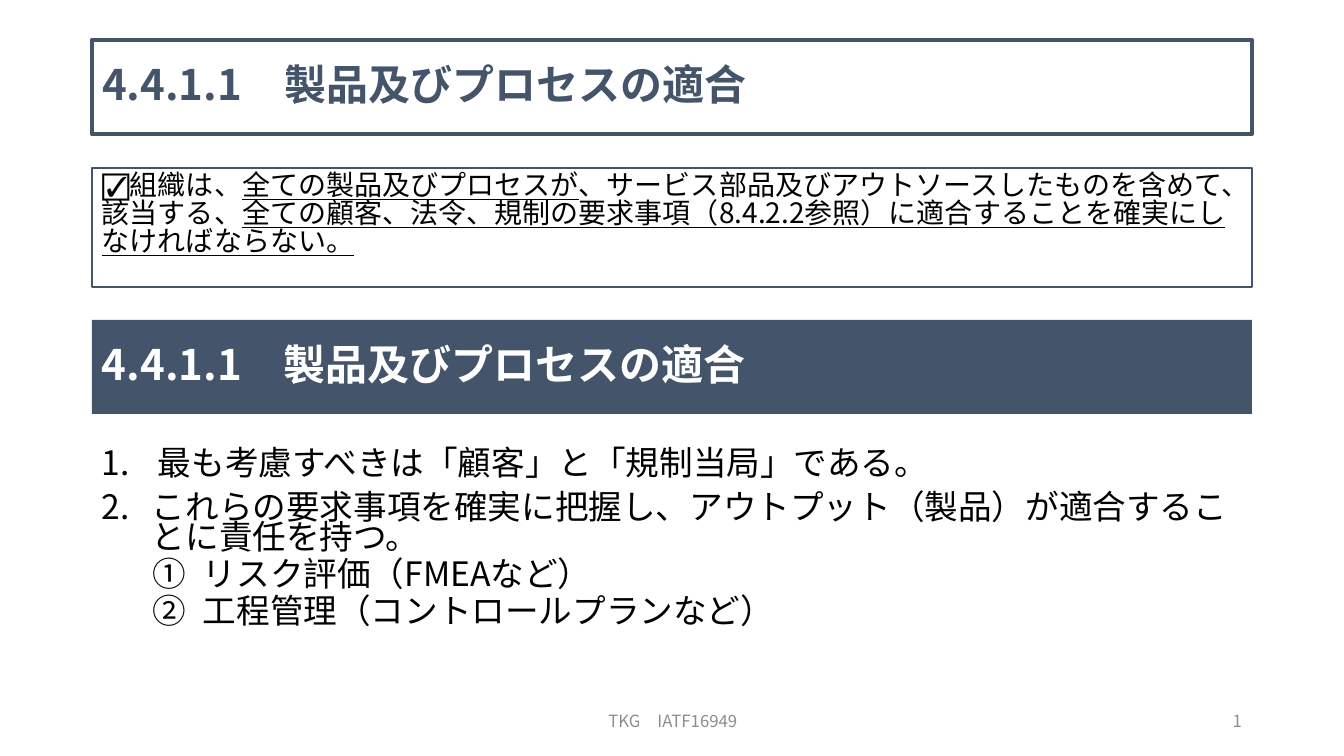
from lxml.etree import SubElement
from pptx import Presentation
from pptx.dml.color import RGBColor
from pptx.enum.shapes import MSO_SHAPE as Shape
from pptx.enum.text import MSO_ANCHOR as Anchor, PP_ALIGN as Align
from pptx.oxml.ns import qn
from pptx.util import Pt

EMU_PER_PIXEL = 914400 / 100.8
FONT = "Noto Sans CJK JP"
COLORS = {"navy": "44546A", "white": "FFFFFF", "black": "000000", "gray": "8C8C8C"}
HEADING = "4.4.1.1\u3000製品及びプロセスの適合"
LEFT, WIDTH, HEADING_HEIGHT = 92, 1160, 94
REQUIREMENT = [
    ("☑組織は、", False),
    ("全ての製品及びプロセスが", True),
    ("、サービス部品及びアウトソースしたものを含めて、該当する、", False),
    ("全ての顧客、法令、規制の要求事項(8.4.2.2参照)に適合することを確実にしなければならない。"
     .replace("(", "（").replace(")", "）"), True),
]
POINTS = [
    ("最も考慮すべきは「顧客」と「規制当局」である。", 0, 56, 56),
    ("これらの要求事項を確実に把握し、アウトプット（製品）が適合することに責任を持つ。", 0, 50, 50),
    ("リスク評価（FMEAなど）", 1, 101, 50),
    ("工程管理（コントロールプランなど）", 1, 101, 50),
]
NUMBERING = ["arabicPeriod", "circleNumDbPlain"]
SPACE_BEFORE = [10, 5]


def emu(pixels):
    """Convert pixels to EMU."""
    return round(pixels * EMU_PER_PIXEL)


def color(name):
    """Look up a named colour."""
    return RGBColor.from_string(COLORS[name])


class SlideBuilder:
    """Holds the style and the current slide."""

    def __init__(self, presentation):
        """Add a title-only slide."""
        self.slide = presentation.slides.add_slide(presentation.slide_layouts[5])

    def place(self, shape, left, top, width, height):
        """Set the position and size of a shape."""
        shape.left, shape.top = emu(left), emu(top)
        shape.width, shape.height = emu(width), emu(height)

    def paint(self, shape, fill=None, line=None, weight=1):
        """Set the fill and the outline of a shape."""
        if fill:
            shape.fill.solid()
            shape.fill.fore_color.rgb = color(fill)
        else:
            shape.fill.background()
        if line:
            shape.line.color.rgb = color(line)
            shape.line.width = Pt(weight)
        else:
            shape.line.fill.background()

    def frame(self, shape, anchor):
        """Prepare the text frame of a shape."""
        text_frame = shape.text_frame
        text_frame.word_wrap = True
        text_frame.vertical_anchor = anchor
        return text_frame

    def style(self, paragraph, size, ink, bold=False, align=Align.LEFT, spacing=1.0, before=0):
        """Format a whole paragraph."""
        font = paragraph.font
        font.name, font.size, font.bold = FONT, Pt(size), bold
        font.color.rgb = color(ink)
        paragraph.alignment = align
        paragraph.line_spacing = spacing
        paragraph.space_before = Pt(before)
        properties = paragraph._p.pPr.find(qn("a:defRPr"))
        SubElement(properties, qn("a:ea")).set("typeface", FONT)

    def number(self, paragraph, scheme, margin, hanging):
        """Number a paragraph with a hanging indent."""
        properties = paragraph._p.pPr
        properties.set("marL", str(emu(margin)))
        properties.set("indent", str(-emu(hanging)))
        bullet = SubElement(properties, qn("a:buAutoNum"))
        bullet.set("type", scheme)
        properties.find(qn("a:defRPr")).addprevious(bullet)

    def heading(self, shape, top, ink, **paint):
        """Format a shape as a heading bar."""
        self.place(shape, LEFT, top, WIDTH, HEADING_HEIGHT)
        self.paint(shape, **paint)
        text_frame = self.frame(shape, Anchor.MIDDLE)
        text_frame.text = HEADING
        self.style(text_frame.paragraphs[0], 30, ink, bold=True, spacing=0.9)

    def title(self, top):
        """Format the title placeholder."""
        self.heading(self.slide.shapes.title, top, "navy", fill="white", line="navy", weight=3)

    def banner(self, top):
        """Add a filled heading bar."""
        shape = self.slide.shapes.add_shape(Shape.RECTANGLE, 0, 0, 0, 0)
        shape.shadow.inherit = False
        self.heading(shape, top, "white", fill="navy")

    def text_box(self, left, top, width, height, anchor=Anchor.TOP):
        """Add an empty text box."""
        shape = self.slide.shapes.add_textbox(0, 0, 0, 0)
        self.place(shape, left, top, width, height)
        return shape, self.frame(shape, anchor)

    def requirement(self, top, height, runs):
        """Add an outlined box with partly underlined text."""
        shape, text_frame = self.text_box(LEFT, top, WIDTH, height)
        self.paint(shape, line="navy")
        paragraph = text_frame.paragraphs[0]
        for text, underlined in runs:
            run = paragraph.add_run()
            run.text = text
            run.font.underline = underlined
        self.style(paragraph, 20, "black", spacing=0.83)

    def numbered_list(self, top, height, points):
        """Add a two-level numbered list."""
        text_frame = self.text_box(LEFT, top, WIDTH, height)[1]
        text_frame.text = "\n".join(point[0] for point in points)
        for paragraph, (_, level, margin, hanging) in zip(text_frame.paragraphs, points):
            paragraph.level = level
            self.style(paragraph, 24, "black", spacing=0.74, before=SPACE_BEFORE[level])
            self.number(paragraph, NUMBERING[level], margin, hanging)

    def footer(self, left, width, text, align):
        """Add a small footer text."""
        text_frame = self.text_box(left, 701, width, 40, Anchor.MIDDLE)[1]
        text_frame.text = text
        self.style(text_frame.paragraphs[0], 12, "gray", align=align)


presentation = Presentation()
presentation.slide_width, presentation.slide_height = emu(1344), emu(756)
builder = SlideBuilder(presentation)
builder.title(40)
builder.requirement(168, 119, REQUIREMENT)
builder.banner(320)
builder.numbered_list(447, 254, POINTS)
builder.footer(446, 454, "TKG\u3000IATF16949", Align.CENTER)
builder.footer(950, 302, "1", Align.RIGHT)
presentation.save("out.pptx")
